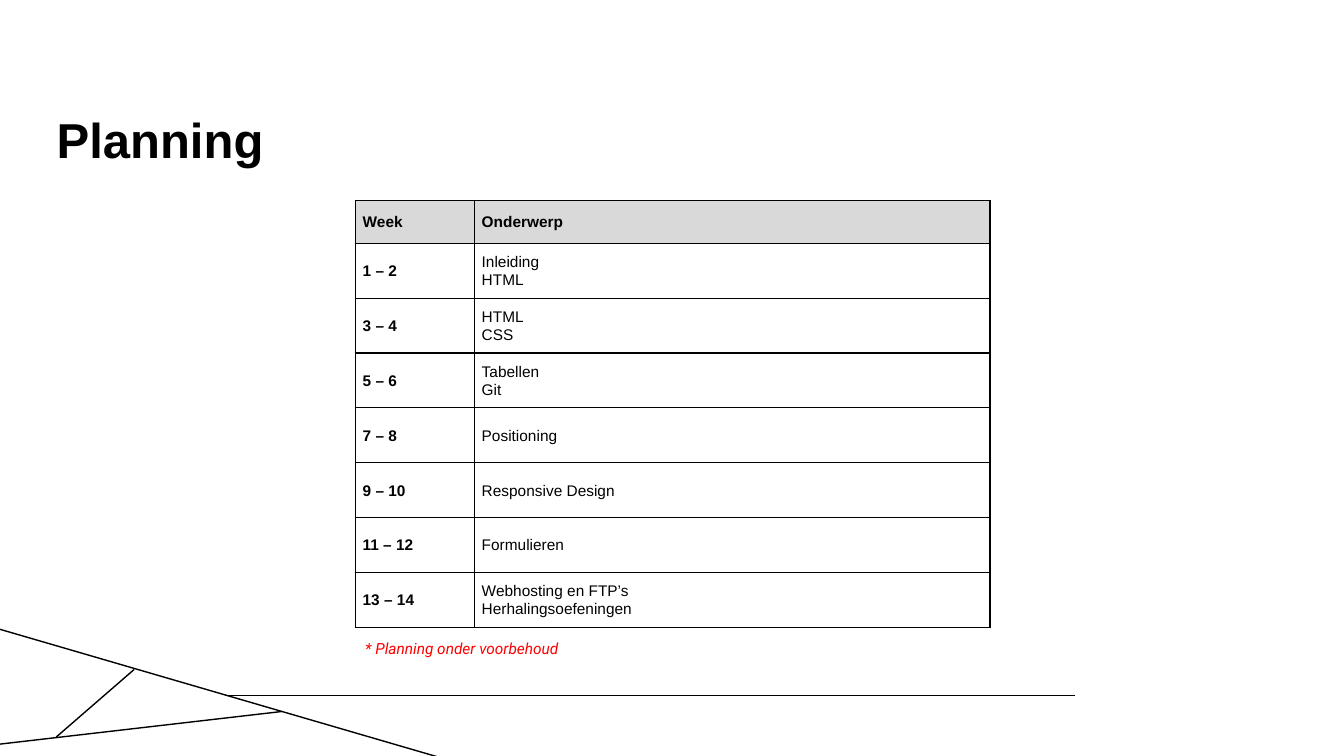
from dataclasses import dataclass

from lxml import etree
from pptx import Presentation
from pptx.dml.color import RGBColor
from pptx.enum.shapes import MSO_CONNECTOR
from pptx.enum.text import MSO_ANCHOR, MSO_AUTO_SIZE, PP_ALIGN
from pptx.oxml.ns import qn
from pptx.util import Cm, Pt

STRAIGHT = MSO_CONNECTOR.STRAIGHT
TOP, MIDDLE, BOTTOM = MSO_ANCHOR.TOP, MSO_ANCHOR.MIDDLE, MSO_ANCHOR.BOTTOM
NO_AUTOFIT = MSO_AUTO_SIZE.NONE
LEFT = PP_ALIGN.LEFT


@dataclass(frozen=True)
class Theme:
    ink: str = "000000"
    header: str = "D9D9D9"
    warning: str = "FF0000"
    font: str = "Arial"
    note_font: str = "Roboto"
    title_size: int = 35
    text_size: int = 11
    line_width: int = 1


THEME = Theme()

WEEKS = [
    ("Week", "Onderwerp"),
    ("1 – 2", "Inleiding", "HTML"),
    ("3 – 4", "HTML", "CSS"),
    ("5 – 6", "Tabellen", "Git"),
    ("7 – 8", "Positioning"),
    ("9 – 10", "Responsive Design"),
    ("11 – 12", "Formulieren"),
    ("13 – 14", "Webhosting en FTP’s", "Herhalingsoefeningen"),
]


def add_run(p, text, size=THEME.text_size, font=THEME.font, color=THEME.ink,
            bold=False, italic=False):
    r = p.add_run()
    r.text = text
    r.font.size = Pt(size)
    r.font.name = font
    r.font.bold = bold
    r.font.italic = italic
    r.font.color.rgb = RGBColor.from_string(color)


def place(sp, box, anchor):
    """Move a placeholder to box and return its first paragraph, left aligned."""
    sp.left, sp.top, sp.width, sp.height = (Cm(v) for v in box)
    tf = sp.text_frame
    tf.auto_size = NO_AUTOFIT
    tf.vertical_anchor = anchor
    p = tf.paragraphs[0]
    p.alignment = LEFT
    p.space_before = Pt(0)
    return p


def add_title(slide, box):
    sp = slide.shapes.title
    p = place(sp, box, TOP)
    tf = sp.text_frame
    tf.margin_left = tf.margin_right = tf.margin_top = tf.margin_bottom = 0
    p.line_spacing = 0.9
    add_run(p, "Planning", size=THEME.title_size, bold=True)


def add_note(slide, box):
    sp = slide.placeholders[1]
    p = place(sp, box, BOTTOM)
    sp.text_frame.word_wrap = False
    add_run(p, "* Planning onder voorbehoud", font=THEME.note_font,
            color=THEME.warning, italic=True)


def add_decoration(slide, box):
    """Draw the corner lines and the footer rule, measured from the bottom left of box."""
    left, top, _, height = box
    bottom = top + height
    lines = [
        ((5.66, 1.52), (27.08, 1.52)),
        ((0, 0.3), (7.09, 1.12)),
        ((-0.13, 3.23), (11.23, -0.08)),
        ((3.38, 2.18), (1.42, 0.48)),
    ]
    for (x1, y1), (x2, y2) in lines:
        line = slide.shapes.add_connector(
            STRAIGHT, Cm(left + x1), Cm(bottom - y1), Cm(left + x2), Cm(bottom - y2))
        line.line.width = Pt(THEME.line_width)
        line.line.color.rgb = RGBColor.from_string(THEME.ink)
        etree.SubElement(line._element.spPr, qn("a:effectLst"))


def add_borders(cell):
    tc_pr = cell._tc.get_or_add_tcPr()
    for side in ("lnL", "lnR", "lnT", "lnB"):
        ln = etree.SubElement(tc_pr, qn(f"a:{side}"), w=str(Pt(THEME.line_width)))
        fill = etree.SubElement(ln, qn("a:solidFill"))
        etree.SubElement(fill, qn("a:srgbClr"), val=THEME.ink)


def fill_cell(cell, lines, bold, header):
    cell.vertical_anchor = MIDDLE
    cell.margin_left = cell.margin_right = Cm(0.19)
    cell.margin_top = cell.margin_bottom = 0
    add_borders(cell)
    if header:
        cell.fill.solid()
        cell.fill.fore_color.rgb = RGBColor.from_string(THEME.header)
    else:
        cell.fill.background()
    p = cell.text_frame.paragraphs[0]
    p.line_spacing = 1.07
    p.space_after = Pt(8)
    for i, text in enumerate(lines):
        if i:
            p.add_line_break()
        add_run(p, text, bold=bold)


def add_schedule(slide, box):
    left, top, width, height = box
    week_width, header_height = 3, 1.07
    table = slide.shapes.add_table(
        len(WEEKS), 2, Cm(left), Cm(top), Cm(width), Cm(height)).table
    table.horz_banding = False
    table.columns[0].width = Cm(week_width)
    table.columns[1].width = Cm(width - week_width)
    row_height = (height - header_height) / (len(WEEKS) - 1)
    for i, (week, *topics) in enumerate(WEEKS):
        header = i == 0
        table.rows[i].height = Cm(header_height if header else row_height)
        fill_cell(table.cell(i, 0), [week], True, header)
        fill_cell(table.cell(i, 1), topics, header, header)


def main():
    prs = Presentation()
    prs.slide_width, prs.slide_height = Cm(33.87), Cm(19.05)
    slide = prs.slides.add_slide(prs.slide_layouts[0])
    add_decoration(slide, (0, 0, 33.87, 19.05))
    add_title(slide, (1.43, 2.92, 30.99, 3.05))
    add_schedule(slide, (8.95, 5.06, 16, 10.75))
    add_note(slide, (8.95, 15.52, 5.49, 1.19))
    prs.save("out.pptx")


if __name__ == "__main__":
    main()
